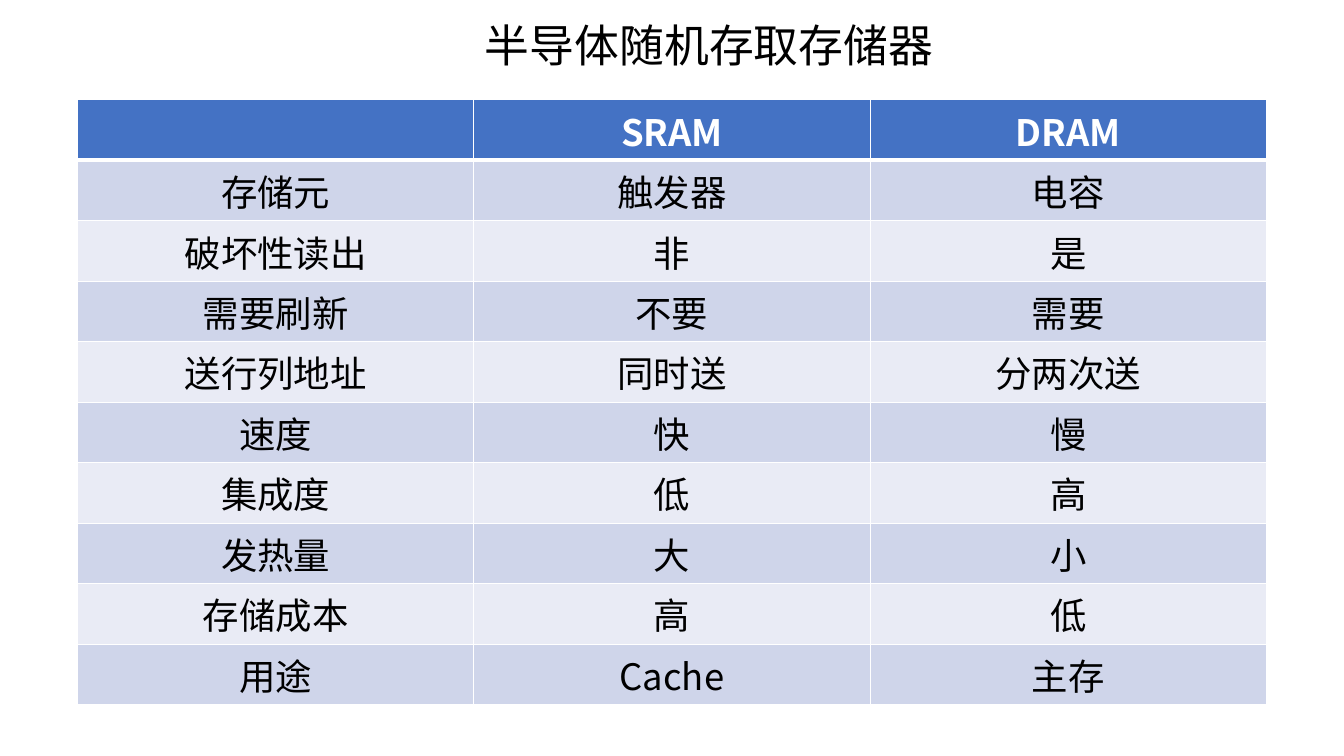
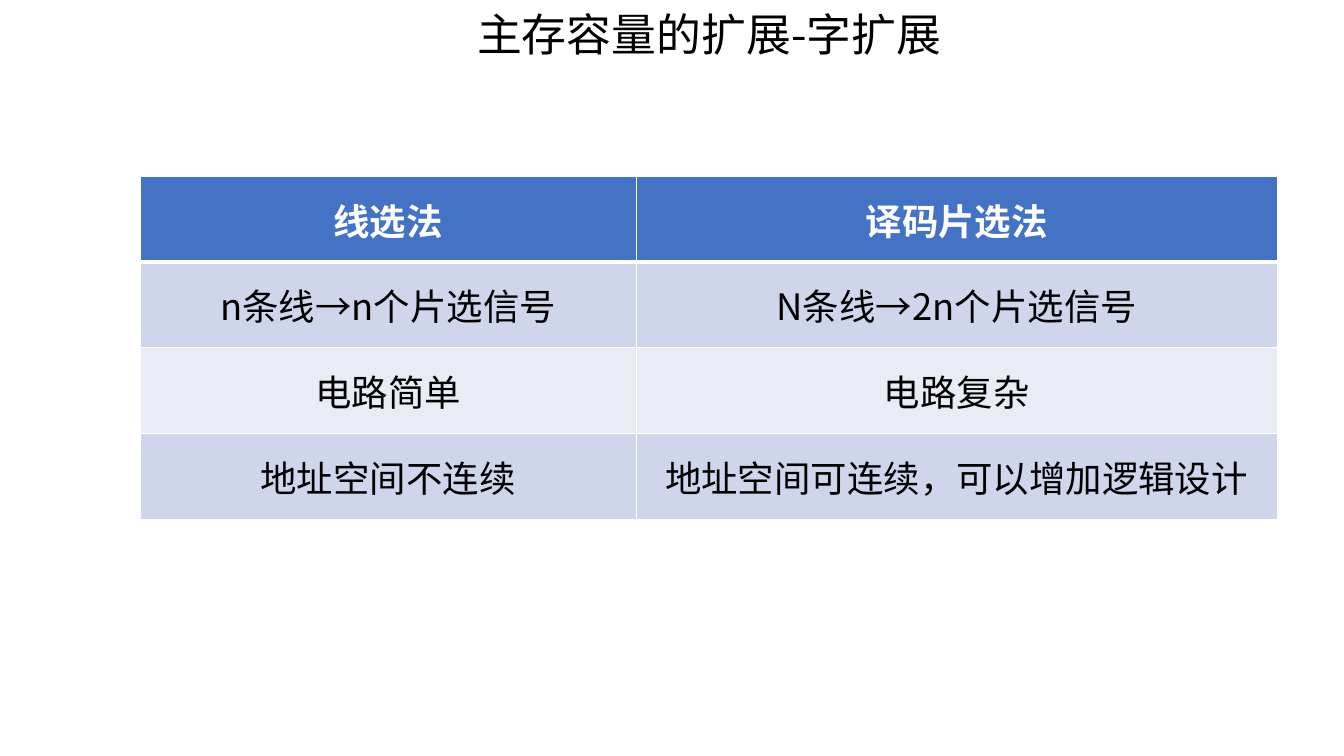
from dataclasses import dataclass

from lxml import etree
from pptx import Presentation
from pptx.dml.color import RGBColor
from pptx.enum.text import MSO_ANCHOR, MSO_AUTO_SIZE, PP_ALIGN
from pptx.oxml.ns import qn
from pptx.util import Inches, Pt

MIDDLE = MSO_ANCHOR.MIDDLE
CENTER = PP_ALIGN.CENTER
NO_AUTOFIT = MSO_AUTO_SIZE.NONE
TITLE_ONLY = 5


@dataclass(frozen=True)
class Theme:
    font: str = "Noto Sans CJK SC"
    title_size: int = 32
    cell_size: int = 26
    ink: str = "000000"
    paper: str = "FFFFFF"
    header: str = "4472C4"
    bands: tuple = ("CFD5EA", "E9EBF5")
    rule: float = 1
    header_rule: float = 3


THEME = Theme()

COMPARISONS = [
    {
        "title": "半导体随机存取存储器",
        "title_top": 0.12,
        "origin": (0.77, 0.99),
        "columns": (3.93, 3.93, 3.93),
        "row_height": 0.6,
        "rows": [
            ("", "SRAM", "DRAM"),
            ("存储元", "触发器", "电容"),
            ("破坏性读出", "非", "是"),
            ("需要刷新", "不要", "需要"),
            ("送行列地址", "同时送", "分两次送"),
            ("速度", "快", "慢"),
            ("集成度", "低", "高"),
            ("发热量", "大", "小"),
            ("存储成本", "高", "低"),
            ("用途", "Cache", "主存"),
        ],
    },
    {
        "title": "主存容量的扩展-字扩展",
        "title_top": 0.01,
        "origin": (1.39, 1.75),
        "columns": (4.92, 6.36),
        "row_height": 0.85,
        "rows": [
            ("线选法", "译码片选法"),
            ("n条线→n个片选信号", "N条线→2n个片选信号"),
            ("电路简单", "电路复杂"),
            ("地址空间不连续", "地址空间可连续，可以增加逻辑设计"),
        ],
    },
]


def style_paragraph(paragraph, size, color, bold=False):
    paragraph.alignment = CENTER
    font = paragraph.font
    font.size = Pt(size)
    font.bold = bold
    font.color.rgb = RGBColor.from_string(color)
    font.name = THEME.font
    defaults = paragraph._p.pPr.find(qn("a:defRPr"))
    etree.SubElement(defaults, qn("a:ea"), typeface=THEME.font)


def add_title(slide, text, top):
    title = slide.shapes.title
    title.left, title.top = Inches(4.03), Inches(top)
    title.width, title.height = Inches(6.01), Inches(0.64)
    frame = title.text_frame
    frame.text = text
    frame.word_wrap = True
    frame.auto_size = NO_AUTOFIT
    frame.vertical_anchor = MIDDLE
    frame.margin_top = frame.margin_bottom = 0
    style_paragraph(frame.paragraphs[0], THEME.title_size, THEME.ink)


def set_borders(cell, top, bottom):
    properties = cell._tc.get_or_add_tcPr()
    sides = {"lnL": THEME.rule, "lnR": THEME.rule, "lnT": top, "lnB": bottom}
    for position, (side, width) in enumerate(sides.items()):
        line = etree.Element(qn(f"a:{side}"), w=str(Pt(width)))
        fill = etree.SubElement(line, qn("a:solidFill"))
        etree.SubElement(fill, qn("a:srgbClr"), val=THEME.paper)
        properties.insert(position, line)


def fill_cell(cell, text, row):
    is_header = row == 0
    background = THEME.header if is_header else THEME.bands[(row - 1) % 2]
    cell.fill.solid()
    cell.fill.fore_color.rgb = RGBColor.from_string(background)
    set_borders(
        cell,
        THEME.header_rule if row == 1 else THEME.rule,
        THEME.header_rule if is_header else THEME.rule,
    )
    cell.vertical_anchor = MIDDLE
    cell.margin_top = cell.margin_bottom = Inches(0.02)
    cell.text = text
    color = THEME.paper if is_header else THEME.ink
    style_paragraph(cell.text_frame.paragraphs[0], THEME.cell_size, color, is_header)


def add_comparison(slide, origin, columns, row_height, rows):
    left, top = origin
    table = slide.shapes.add_table(
        len(rows), len(columns), Inches(left), Inches(top),
        Inches(sum(columns)), Inches(row_height * len(rows)),
    ).table
    for column, width in zip(table.columns, columns):
        column.width = Inches(width)
    for row, texts in enumerate(rows):
        table.rows[row].height = Inches(row_height)
        for column, text in enumerate(texts):
            fill_cell(table.cell(row, column), text, row)


def main():
    deck = Presentation()
    deck.slide_width, deck.slide_height = Inches(13.33), Inches(7.5)
    for topic in COMPARISONS:
        slide = deck.slides.add_slide(deck.slide_layouts[TITLE_ONLY])
        add_title(slide, topic["title"], topic["title_top"])
        add_comparison(
            slide, topic["origin"], topic["columns"], topic["row_height"], topic["rows"]
        )
    deck.save("out.pptx")


if __name__ == "__main__":
    main()
